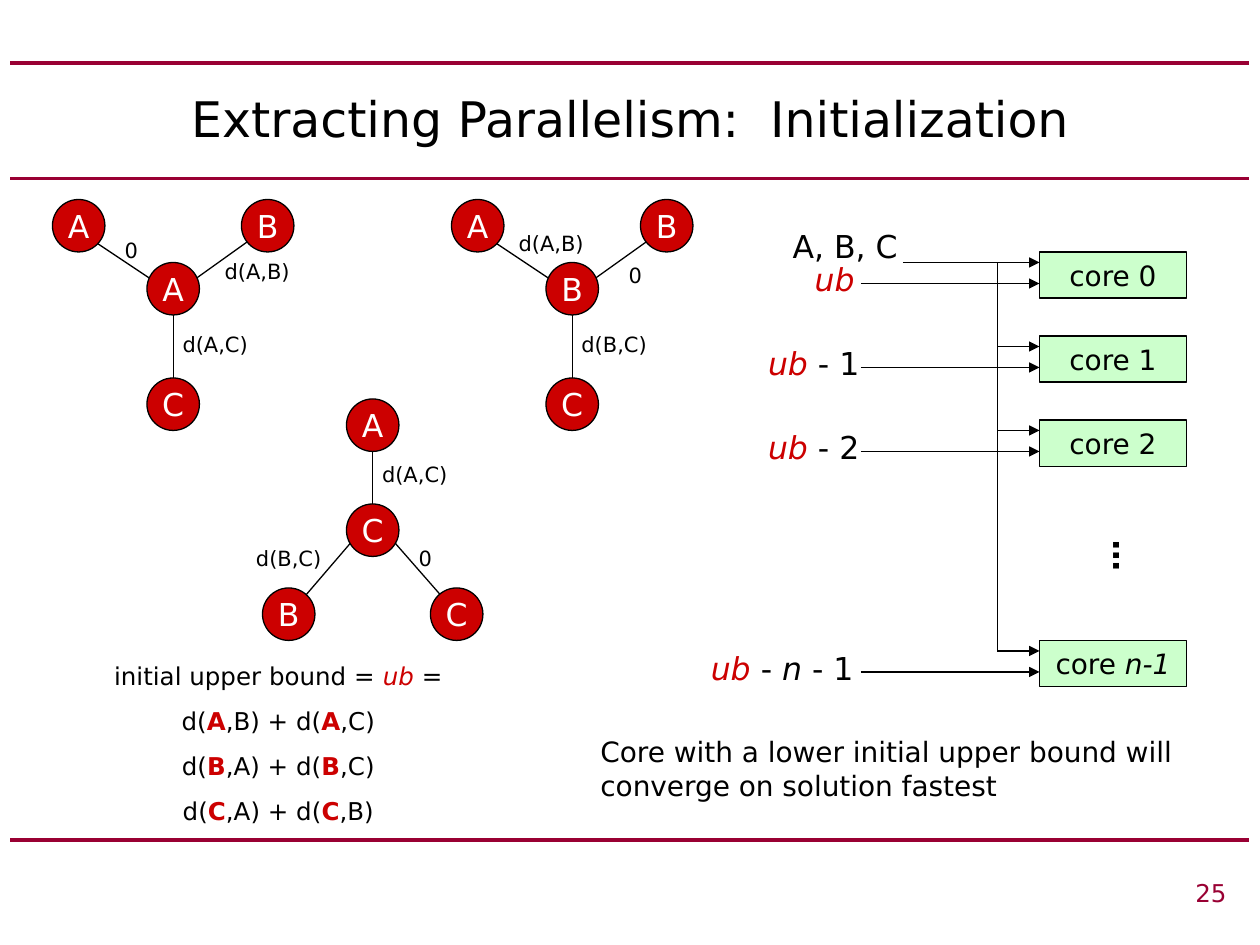
import itertools

import lxml.etree
import pptx
import pptx.dml.color
import pptx.enum.shapes
import pptx.enum.text
import pptx.oxml.ns
import pptx.util

COLORS = {"rule": "990033", "red": "CC0000", "green": "CCFFCC",
          "black": "000000", "white": "FFFFFF"}
FONT = "DejaVu Sans"
GRID = 2.54 / 12
NODE = 5
ALIGN = pptx.enum.text.PP_ALIGN
ANCHOR = pptx.enum.text.MSO_ANCHOR
SHAPE = pptx.enum.shapes.MSO_SHAPE

PLAIN = {}
ITALIC = {"italic": True}
BOUND = {"italic": True, "color": "red"}
PICKED = {"bold": True, "color": "red"}

TITLE = "Extracting Parallelism:  Initialization"
NOTE = "Core with a lower initial upper bound will converge on solution fastest"
PAGE = "25"
RULES = (6, 17, 80)

BRANCHING = {
    "up": {"leaves": ((-9, -6), (9, -6), (0, 11)),
           "edges": ((-7.5, -4.5, -1.5, -0.5), (1.5, -0.5, 8.5, -5.5), (0, 1.5, 0, 9.5))},
    "down": {"leaves": ((0, -10), (-8, 8), (8, 8)),
             "edges": ((0, -9.5, 0, -1.5), (-7.5, 7.5, -1.5, 0.5), (1.5, 0.5, 8.5, 8.5))},
}
TREES = [
    {"hub": "A", "center": (16.5, 27.5), "branching": "up",
     "distances": (("0", -4, -3.7), ("d(A,B)", 8, -1.7), ("d(A,C)", 4, 5.3))},
    {"hub": "B", "center": (54.5, 27.5), "branching": "up",
     "distances": (("d(A,B)", -2, -4.3), ("0", 6, -1.3), ("d(B,C)", 4, 5.3))},
    {"hub": "C", "center": (35.5, 50.5), "branching": "down",
     "distances": (("d(A,C)", 4, -5.3), ("d(B,C)", -8, 2.7), ("0", 5, 2.7))},
]

CORES = [
    {"top": 24, "name": [("core 0", PLAIN)], "bound_x": 79.5, "bound": [("ub", BOUND)]},
    {"top": 32, "name": [("core 1", PLAIN)], "bound_x": 77.5,
     "bound": [("ub", BOUND), (" - 1", PLAIN)]},
    {"top": 40, "name": [("core 2", PLAIN)], "bound_x": 77.5,
     "bound": [("ub", BOUND), (" - 2", PLAIN)]},
    {"top": 61, "name": [("core ", PLAIN), ("n-1", ITALIC)], "bound_x": 74.5,
     "bound": [("ub", BOUND), (" - ", PLAIN), ("n", ITALIC), (" - 1", PLAIN)]},
]
CORE_LEFT, CORE_WIDTH, CORE_HEIGHT = 99, 14, 4.4
BUS_X, INPUT_X, BOUND_LINE_X = 95, 86, 82

SUMS = [("A", "B", "C"), ("B", "A", "C"), ("C", "A", "B")]
BOUND_LINES = [[("initial upper bound = ", PLAIN), ("ub", BOUND), (" =", PLAIN)]] + [
    [("d(", PLAIN), (hub, PICKED), (f",{first}) + d(", PLAIN), (hub, PICKED), (f",{second})", PLAIN)]
    for hub, first, second in SUMS]

deck = pptx.Presentation()
deck.slide_width, deck.slide_height = pptx.util.Cm(25.4), pptx.util.Cm(19.05)
slide = deck.slides.add_slide(deck.slide_layouts[6])


def steps(*counts):
    return [pptx.util.Cm(count * GRID) for count in counts]


def rgb(name):
    return pptx.dml.color.RGBColor.from_string(COLORS[name])


def write(holder, lines, size, color="black", align=ALIGN.CENTER, gap=0):
    frame = holder.text_frame
    frame.word_wrap = True
    for number, line in enumerate(lines):
        paragraph = frame.add_paragraph() if number else frame.paragraphs[0]
        paragraph.alignment = align
        paragraph.space_before = pptx.util.Pt(gap)
        paragraph.font.name = FONT
        paragraph.font.size = pptx.util.Pt(size)
        paragraph.font.color.rgb = rgb(color)
        for words, style in line:
            run = paragraph.add_run()
            run.text = words
            if "italic" in style:
                run.font.italic = True
            if "bold" in style:
                run.font.bold = True
            if "color" in style:
                run.font.color.rgb = rgb(style["color"])


def add_text(box, lines, size, **look):
    holder = slide.shapes.add_textbox(*steps(*box))
    write(holder, lines, size, **look)
    return holder


def add_label(x, y, width, height, line, size):
    return add_text((x - width / 2, y - height / 2, width, height), [line], size)


def add_filled(kind, box, fill, line, size, color):
    shape = slide.shapes.add_shape(kind, *steps(*box))
    shape.shadow.inherit = False
    shape.fill.solid()
    shape.fill.fore_color.rgb = rgb(fill)
    shape.line.color.rgb = rgb("black")
    shape.line.width = pptx.util.Pt(0.75)
    frame = shape.text_frame
    frame.margin_left = frame.margin_right = frame.margin_top = frame.margin_bottom = 0
    frame.vertical_anchor = ANCHOR.MIDDLE
    write(shape, [line], size, color=color)


def add_line(*ends, color="black", width=0.75, arrow=False):
    connector = slide.shapes.add_connector(
        pptx.enum.shapes.MSO_CONNECTOR.STRAIGHT, *steps(*ends))
    connector.line.color.rgb = rgb(color)
    connector.line.width = pptx.util.Pt(width)
    properties = connector.element.spPr
    if arrow:
        outline = properties.find(pptx.oxml.ns.qn("a:ln"))
        lxml.etree.SubElement(outline, pptx.oxml.ns.qn("a:tailEnd"), type="triangle")
    lxml.etree.SubElement(properties, pptx.oxml.ns.qn("a:effectLst"))


def add_node(name, x, y):
    box = (x - NODE / 2, y - NODE / 2, NODE, NODE)
    add_filled(SHAPE.OVAL, box, "red", [(name, PLAIN)], 18, "white")


for y in RULES:
    add_line(1, y, 119, y, color="rule", width=2.25)
title = add_text((6, 6, 108, 10.4), [[(TITLE, PLAIN)]], 28)
title.text_frame.vertical_anchor = ANCHOR.MIDDLE

for tree in TREES:
    x, y = tree["center"]
    branching = BRANCHING[tree["branching"]]
    for x1, y1, x2, y2 in branching["edges"]:
        add_line(x + x1, y + y1, x + x2, y + y2)
    for leaf, (dx, dy) in zip("ABC", branching["leaves"]):
        add_node(leaf, x + dx, y + dy)
    add_node(tree["hub"], x, y)
    for distance, dx, dy in tree["distances"]:
        add_label(x + dx, y + dy, 17 if len(distance) > 1 else 7, 3.6, [(distance, PLAIN)], 12)

for number, core in enumerate(CORES):
    top = core["top"]
    add_filled(SHAPE.RECTANGLE, (CORE_LEFT, top, CORE_WIDTH, CORE_HEIGHT),
               "green", core["name"], 16, "black")
    add_label(core["bound_x"], top + 2.6, 19, 4.8, core["bound"], 18)
    add_line(BUS_X if number else INPUT_X, top + 1, CORE_LEFT, top + 1, arrow=True)
    add_line(BOUND_LINE_X, top + 3, CORE_LEFT, top + 3, arrow=True)
for upper, lower in itertools.pairwise(CORES):
    add_line(BUS_X, upper["top"] + 1, BUS_X, lower["top"] + 1)
add_label(80.5, 23.4, 19, 4.8, [("A, B, C", PLAIN)], 18)
more_cores = add_label(105.4, 52.9, 14, 4.8, [("…", {"bold": True})], 18)
more_cores.rotation = 270

add_text((7, 62.4, 39, 16.8), BOUND_LINES, 14, gap=8.8)
add_text((56, 69.4, 63, 7.7), [[(NOTE, PLAIN)]], 16, align=ALIGN.LEFT)
add_text((34, 83, 84, 4), [[(PAGE, PLAIN)]], 14, color="rule", align=ALIGN.RIGHT)

deck.save("out.pptx")
